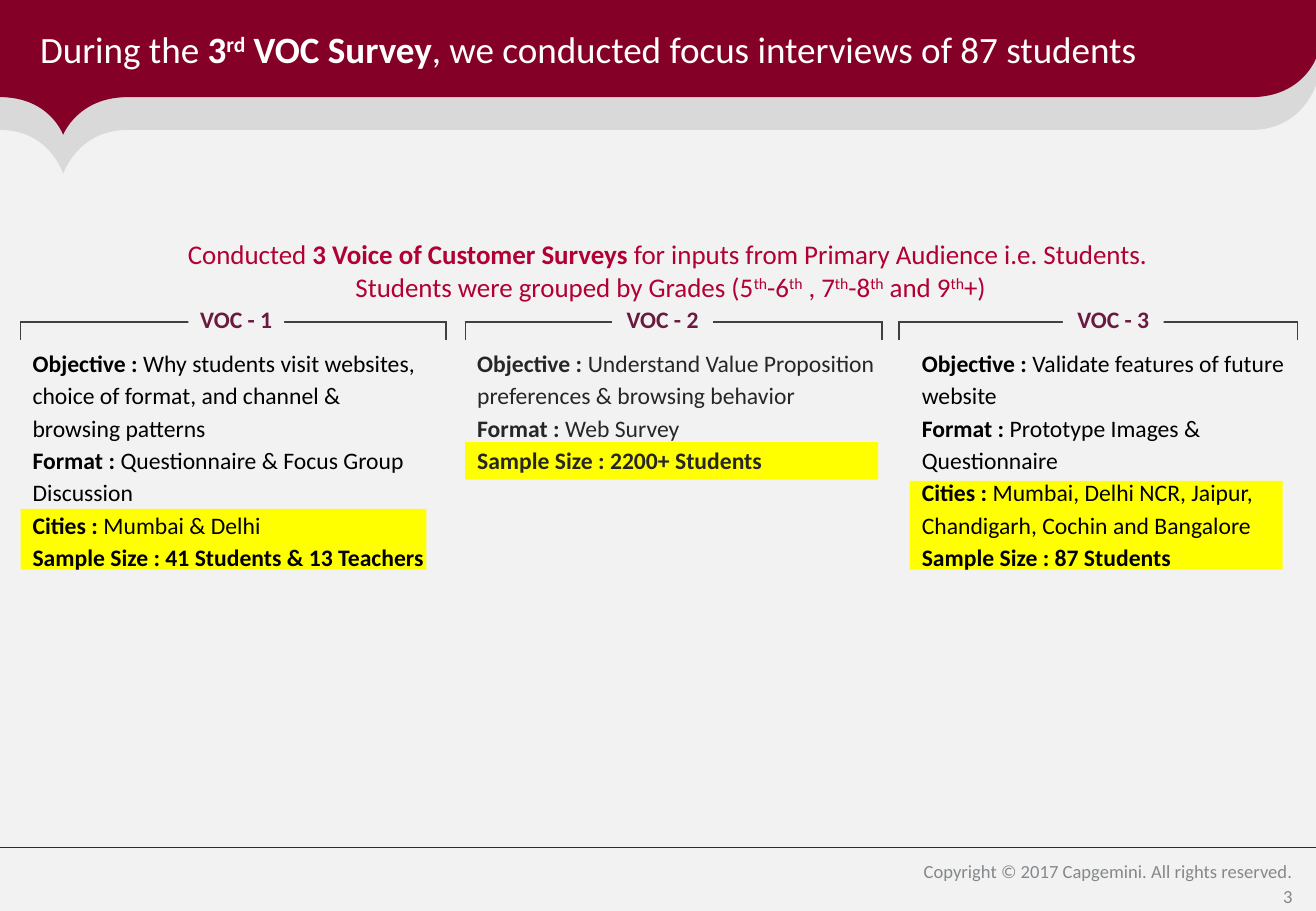
from lxml import etree
from pptx import Presentation
from pptx import util as u
from pptx.dml.color import RGBColor
from pptx.enum import shapes, text
from pptx.oxml.ns import qn

WIDTH, HEIGHT = 65 / 6, 7.5
FONT = "Calibri"
MAROON, GREY, PAPER, YELLOW = "850027", "D9D9D9", "F2F2F2", "FFFF00"
LEFT, CENTER, RIGHT = text.PP_ALIGN.LEFT, text.PP_ALIGN.CENTER, text.PP_ALIGN.RIGHT
TOP, MIDDLE = text.MSO_ANCHOR.TOP, text.MSO_ANCHOR.MIDDLE
FIXED, GROW = text.MSO_AUTO_SIZE.NONE, text.MSO_AUTO_SIZE.SHAPE_TO_FIT_TEXT

# Run styles: b is bold, s is superscript
TITLE = [[("During the ", ""), ("3", "b"), ("rd", "bs"), (" VOC Survey", "b"),
          (", we conducted focus interviews of 87 students", "")]]
SUMMARY = [
    [("Conducted ", ""), ("3 Voice of Customer Surveys ", "b"),
     ("for inputs from Primary Audience i.e. Students. ", "")],
    [("Students were grouped by Grades (5", ""), ("th", "s"), ("-6", ""), ("th", "s"),
     (" , 7", ""), ("th", "s"), ("-8", ""), ("th", "s"), (" and 9", ""), ("th", "s"),
     ("+)", "")],
]

# Each survey: bracket, label, highlight and text positions, then the wording
SURVEYS = [
    {"name": "VOC - 1", "bracket": (0.17, 3.5), "label": (1.55, 0.79),
     "highlight": (0.17, 4.19, 3.34, 0.5), "text": (0.17, 2.79, 3.5, 1.98),
     "color": "000000",
     "facts": [("Objective : ", "Why students visit websites, choice of format, "
                "and channel & browsing patterns"),
               ("Format : ", "Questionnaire & Focus Group Discussion"),
               ("Cities : ", "Mumbai & Delhi"),
               ("Sample Size : 41 Students & 13 Teachers", "")]},
    {"name": "VOC - 2", "bracket": (3.83, 3.43), "label": (5.04, 0.83),
     "highlight": (3.83, 3.64, 3.4, 0.31), "text": (3.83, 2.79, 3.5, 1.43),
     "color": "262626",
     "facts": [("Objective : ", "Understand Value Proposition preferences & "
                "browsing behavior"),
               ("Format : ", "Web Survey"),
               ("Sample Size : 2200+ Students", "")]},
    {"name": "VOC - 3", "bracket": (7.4, 3.28), "label": (8.75, 0.83),
     "highlight": (7.49, 3.96, 3.07, 0.73), "text": (7.49, 2.79, 3.2, 1.9),
     "color": "000000",
     "facts": [("Objective : ", "Validate features of future website"),
               ("Format : ", "Prototype Images & Questionnaire"),
               ("Cities : ", "Mumbai, Delhi NCR, Jaipur, Chandigarh, Cochin and "
                "Bangalore"),
               ("Sample Size : 87 Students", "")]},
]


def rgb(color):
    return RGBColor.from_string(color)


def inches(*values):
    return [u.Inches(value) for value in values]


def paint(shape, color):
    shape.shadow.inherit = False
    shape.fill.solid()
    shape.fill.fore_color.rgb = rgb(color)
    shape.line.fill.background()


def add_rectangle(slide, box, color):
    shape = slide.shapes.add_shape(shapes.MSO_SHAPE.RECTANGLE, *inches(*box))
    paint(shape, color)
    return shape


def write(shape, paragraphs, size, color, align=LEFT, anchor=TOP, spacing=None,
          fit=GROW):
    frame = shape.text_frame
    frame.word_wrap = True
    frame.auto_size = fit
    frame.vertical_anchor = anchor
    for index, runs in enumerate(paragraphs):
        paragraph = frame.add_paragraph() if index else frame.paragraphs[0]
        paragraph.alignment = align
        paragraph.line_spacing = spacing
        font = paragraph.font
        font.name, font.size, font.color.rgb = FONT, u.Pt(size), rgb(color)
        for words, style in runs:
            run = paragraph.add_run()
            run.text = words
            run.font.bold = "b" in style
            if "s" in style:
                run.font._element.set("baseline", "30000")


def add_text(slide, box, paragraphs, size, color, **layout):
    write(slide.shapes.add_textbox(*inches(*box)), paragraphs, size, color, **layout)


def bend(segments):
    """Turn three line segments into one Bezier curve through their points."""
    curve = etree.Element(qn("a:cubicBezTo"))
    segments[0].addprevious(curve)
    for segment in segments:
        curve.append(segment[0])
        segment.getparent().remove(segment)


def add_banner(slide, top, edge, tip, corner, color):
    point, end = (0.52, tip), (WIDTH, corner)
    outline = [(0, top), (0, edge),
               (0.41, edge), point, point,
               point, (0.64, edge), (1.05, edge),
               (10.3, edge),
               (10.72, edge), end, end]
    builder = slide.shapes.build_freeform(*inches(WIDTH, top))
    builder.add_line_segments([inches(*spot) for spot in outline], close=True)
    banner = builder.convert_to_shape()
    segments = list(banner._element.iter(qn("a:lnTo")))
    for first in (2, 5, 9):
        bend(segments[first:first + 3])
    paint(banner, color)


def add_rule(slide, y, color):
    line = slide.shapes.add_connector(shapes.MSO_CONNECTOR.STRAIGHT,
                                      *inches(0, y, WIDTH, y))
    line.line.color.rgb = rgb(color)
    line.line.width = u.Pt(0.75)
    etree.SubElement(line._element.spPr, qn("a:effectLst"))


def add_bracket(slide, left, width):
    """One-cell table with left, right and top borders."""
    table = slide.shapes.add_table(1, 1, *inches(left, 2.65, width, 0.15)).table
    table.first_row = table.horz_banding = False
    cell = table.cell(0, 0)
    cell.margin_left = cell.margin_right = cell.margin_top = cell.margin_bottom = 0
    etree.SubElement(cell.text_frame.paragraphs[0]._p, qn("a:endParaRPr"), sz="400")
    properties = cell._tc.get_or_add_tcPr()
    for side in ("lnL", "lnR", "lnT", "lnB"):
        border = etree.SubElement(properties, qn(f"a:{side}"), w="12700")
        if side == "lnB":
            etree.SubElement(border, qn("a:noFill"))
        else:
            fill = etree.SubElement(border, qn("a:solidFill"))
            etree.SubElement(fill, qn("a:srgbClr"), val="404040")
    cell.fill.background()


def add_survey(slide, survey):
    add_bracket(slide, *survey["bracket"])
    add_rectangle(slide, survey["highlight"], YELLOW)
    facts = [[(words, style) for words, style in ((head, "b"), (detail, "")) if words]
             for head, detail in survey["facts"]]
    add_text(slide, survey["text"], facts, 14, survey["color"], spacing=1.14)
    left, width = survey["label"]
    label = add_rectangle(slide, (left, 2.49, width, 0.31), PAPER)
    write(label, [[(survey["name"], "b")]], 14, "6A1A41", align=CENTER, spacing=0.9)


def set_title(slide):
    title = slide.shapes.title
    title.left, title.top, title.width, title.height = inches(0, 0, WIDTH, 0.8)
    write(title, TITLE, 22, "FFFFFF", anchor=MIDDLE, fit=FIXED)
    frame = title.text_frame
    frame.margin_left, frame.margin_right = inches(0.33, 0.18)
    frame.margin_top = frame.margin_bottom = u.Inches(0.04)
    slide.shapes._spTree.append(title._element)  # in front of the banner


def main():
    presentation = Presentation()
    presentation.slide_width, presentation.slide_height = inches(WIDTH, HEIGHT)
    slide = presentation.slides.add_slide(presentation.slide_layouts[5])

    # Background, banner and title
    add_rectangle(slide, (0, 0.48, WIDTH, 7.02), PAPER)
    add_banner(slide, 0.15, 1.07, 1.43, 0.7, GREY)
    add_banner(slide, 0, 0.8, 1.11, 0.48, MAROON)
    set_title(slide)

    # Summary and the three surveys
    add_text(slide, (0.43, 1.91, 10.18, 0.64), SUMMARY, 16, "B10034", align=CENTER)
    for survey in SURVEYS:
        add_survey(slide, survey)

    # Footer
    add_rule(slide, 6.98, MAROON)
    footer = [((7.23, 7.06, 3.51, 0.22), "Copyright © 2017 Capgemini. All rights reserved."),
              ((8.21, 7.28, 2.53, 0.19), "3")]
    for box, words in footer:
        add_text(slide, box, [[(words, "")]], 11, "85888B", align=RIGHT, anchor=MIDDLE,
                 fit=FIXED)

    presentation.save("out.pptx")


if __name__ == "__main__":
    main()
